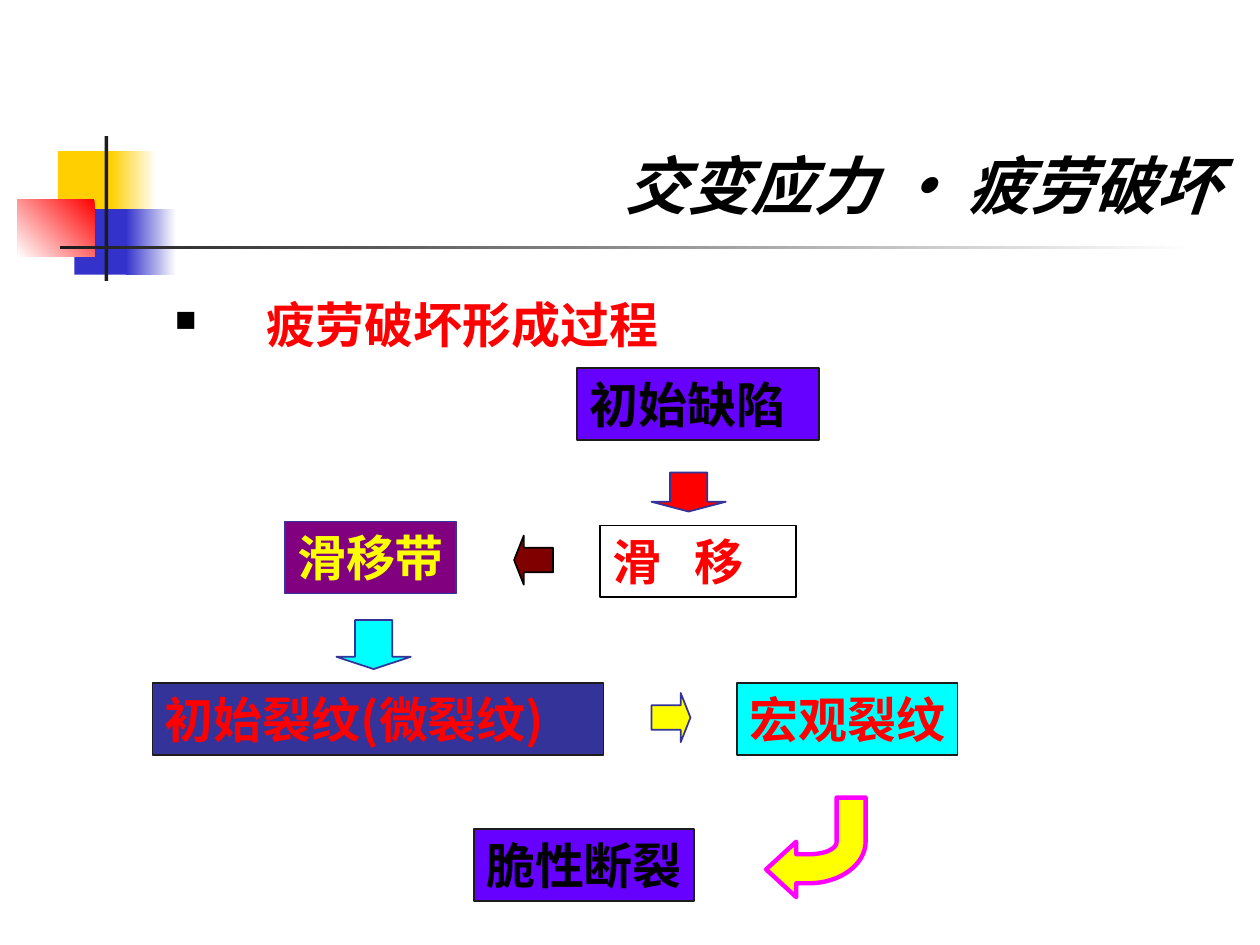
from dataclasses import dataclass

from lxml import etree
from pptx import Presentation
from pptx.dml.color import RGBColor
from pptx.enum.shapes import MSO_SHAPE
from pptx.enum.text import MSO_ANCHOR, PP_ALIGN
from pptx.oxml.ns import qn
from pptx.util import Inches, Pt

RECTANGLE = MSO_SHAPE.RECTANGLE
DOWN, LEFT, RIGHT = MSO_SHAPE.DOWN_ARROW, MSO_SHAPE.LEFT_ARROW, MSO_SHAPE.RIGHT_ARROW


@dataclass(frozen=True)
class Theme:
    black: str = "000000"
    white: str = "FFFFFF"
    ink: str = "1C1C1C"
    red: str = "FF0000"
    gold: str = "FFCF01"
    blue: str = "3333CC"
    indigo: str = "333399"
    violet: str = "6600FF"
    purple: str = "800080"
    maroon: str = "800000"
    yellow: str = "FFFF00"
    cyan: str = "00FFFF"
    magenta: str = "FF00FF"
    title_font: str = "Karla"
    body_font: str = "Times New Roman"
    label_font: str = "Noto Sans CJK SC"
    title_size: int = 36
    text_size: int = 28


THEME = Theme()


def rgb(color):
    return RGBColor.from_string(color)


def paint(shape, fill, line=None, width=1):
    """Fill a shape with one colour, or with a (start, end, angle) gradient."""
    shape.shadow.inherit = False
    if isinstance(fill, tuple):
        start, end, angle = fill
        shape.fill.gradient()
        shape.fill.gradient_angle = angle
        for stop, color in zip(shape.fill.gradient_stops, (start, end)):
            stop.color.rgb = rgb(color)
    else:
        shape.fill.solid()
        shape.fill.fore_color.rgb = rgb(fill)
    if line:
        shape.line.color.rgb = rgb(line)
        shape.line.width = Pt(width)
    else:
        shape.line.fill.background()


def add_preset(slide, kind, box, fill, line=None):
    shape = slide.shapes.add_shape(kind, *map(Inches, box))
    paint(shape, fill, line)
    return shape


def write(shape, text, font, size, color, wrap=True, align=PP_ALIGN.LEFT, anchor=MSO_ANCHOR.TOP):
    frame = shape.text_frame
    frame.word_wrap = wrap
    frame.vertical_anchor = anchor
    paragraph = frame.paragraphs[0]
    paragraph.text = text
    paragraph.alignment = align
    paragraph.font.name = font
    paragraph.font.size = Pt(size)
    paragraph.font.bold = True
    paragraph.font.color.rgb = rgb(color)
    return paragraph


def add_ornament(slide, left, top):
    """Coloured squares with the crossing rules, placed from their top left corner."""
    t = THEME
    parts = [
        ((0.32, 0.12, 0.48, 0.52), t.gold),
        ((0.74, 0.12, 0.36, 0.52), (t.white, t.gold, 180)),
        ((0.45, 0.58, 0.46, 0.52), t.blue),
        ((0.86, 0.58, 0.4, 0.52), (t.white, t.blue, 180)),
        ((0, 0.5, 0.61, 0.46), (t.red, t.white, 225)),
        ((0.69, 0, 0.03, 1.15), t.ink),
        ((0.34, 0.87, 9, 0.03), (t.white, t.ink, 180)),
    ]
    for (x, y, width, height), fill in parts:
        add_preset(slide, RECTANGLE, (left + x, top + y, width, height), fill)


def add_title(slide, box):
    shape = slide.shapes.add_textbox(*map(Inches, box))
    paragraph = write(shape, "交变应力 • 疲劳破坏", THEME.title_font, THEME.title_size,
                      THEME.black, align=PP_ALIGN.RIGHT, anchor=MSO_ANCHOR.BOTTOM)
    paragraph.font.italic = True


def add_heading(slide, box):
    shape = slide.shapes.add_textbox(*map(Inches, box))
    # Square bullet with a hanging indent
    properties = shape.text_frame.paragraphs[0]._p.get_or_add_pPr()
    indent = Inches(0.73)
    properties.set("marL", str(indent))
    properties.set("indent", str(-indent))
    bullet_color = etree.SubElement(properties, qn("a:buClr"))
    etree.SubElement(bullet_color, qn("a:srgbClr"), val=THEME.black)
    etree.SubElement(properties, qn("a:buSzPct"), val="60000")
    etree.SubElement(properties, qn("a:buChar"), char="■")
    write(shape, "疲劳破坏形成过程", THEME.body_font, THEME.text_size, THEME.red)


def curve(start, control_1, control_2, end, steps=16):
    """Points of a cubic curve after its start."""
    points = []
    for step in range(1, steps + 1):
        s = step / steps
        weights = ((1 - s) ** 3, 3 * s * (1 - s) ** 2, 3 * s * s * (1 - s), s ** 3)
        points.append(tuple(sum(w * p[axis] for w, p in
                                zip(weights, (start, control_1, control_2, end)))
                            for axis in (0, 1)))
    return points


def add_bent_arrow(slide, left, top):
    """Arrow that runs down and bends to the left."""
    outline = [
        (0.79, 0), (0.79, 0.35),
        *curve((0.79, 0.35), (0.79, 0.53), (0.59, 0.68), (0.34, 0.68)),
        (0.24, 0.68), (0.24, 0.79), (0, 0.57), (0.24, 0.35), (0.24, 0.45), (0.34, 0.45),
        *curve((0.34, 0.45), (0.46, 0.45), (0.56, 0.41), (0.56, 0.35)),
        (0.56, 0),
    ]
    points = [(Inches(left + x), Inches(top + y)) for x, y in outline]
    builder = slide.shapes.build_freeform(*points[0])
    builder.add_line_segments(points[1:], close=True)
    paint(builder.convert_to_shape(), THEME.yellow, THEME.magenta, 2.5)


def add_process(slide, left, top):
    """Flow from first defect to fracture, placed from its top left corner."""
    t = THEME
    box_height = 0.57
    stages = [
        ("初始缺陷", 3.37, 0, 1.92, t.violet, t.ink, t.black),
        ("滑   移", 3.55, 1.25, 1.56, t.white, t.black, t.red),
        ("滑移带", 1.05, 1.22, 1.36, t.purple, t.indigo, t.yellow),
        ("初始裂纹(微裂纹)", 0, 2.5, 3.58, t.indigo, t.ink, t.red),
        ("宏观裂纹", 4.64, 2.5, 1.75, t.cyan, t.ink, t.red),
        ("脆性断裂", 2.55, 3.66, 1.75, t.violet, t.ink, t.black),
    ]
    for text, x, y, width, fill, line, color in stages:
        shape = add_preset(slide, RECTANGLE, (left + x, top + y, width, box_height), fill, line)
        write(shape, text, t.label_font, t.text_size, color, wrap=False)

    arrows = [
        (DOWN, (3.96, 0.83, 0.59, 0.31), t.red, t.indigo),
        (LEFT, (2.87, 1.33, 0.31, 0.39), t.maroon, t.black),
        (DOWN, (1.46, 2, 0.59, 0.39), t.cyan, t.indigo),
        (RIGHT, (3.96, 2.58, 0.31, 0.39), t.yellow, t.indigo),
    ]
    for kind, (x, y, width, height), fill, line in arrows:
        arrow = add_preset(slide, kind, (left + x, top + y, width, height), fill, line)
        arrow.adjustments[0] = 0.5
        arrow.adjustments[1] = 0.25
    add_bent_arrow(slide, left + 4.87, top + 3.41)


def main():
    presentation = Presentation()
    presentation.slide_width, presentation.slide_height = Inches(10), Inches(7.5)
    slide = presentation.slides.add_slide(presentation.slide_layouts[6])
    add_ornament(slide, 0.14, 1.08)
    add_title(slide, (1.26, 1.09, 8.52, 0.72))
    add_heading(slide, (1.29, 2.29, 4.54, 0.67))
    add_process(slide, 1.21, 2.92)
    presentation.save("out.pptx")


if __name__ == "__main__":
    main()
